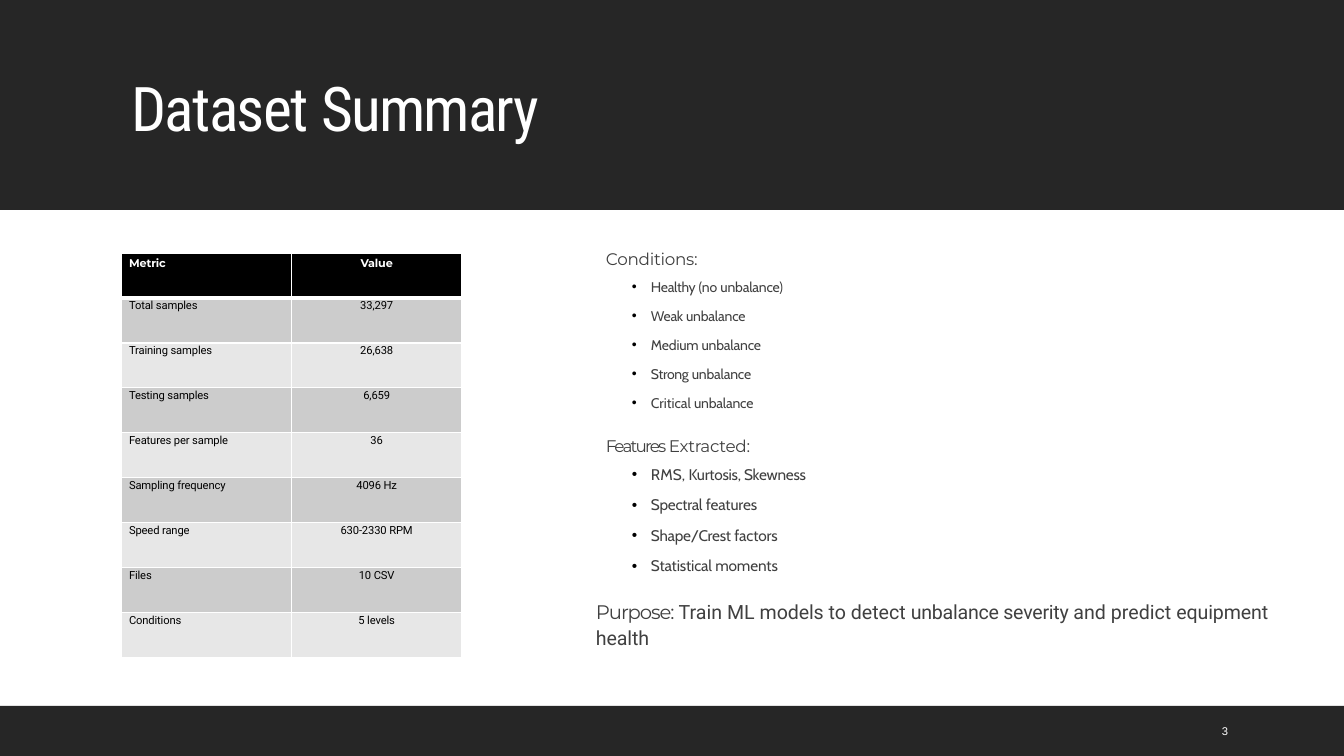
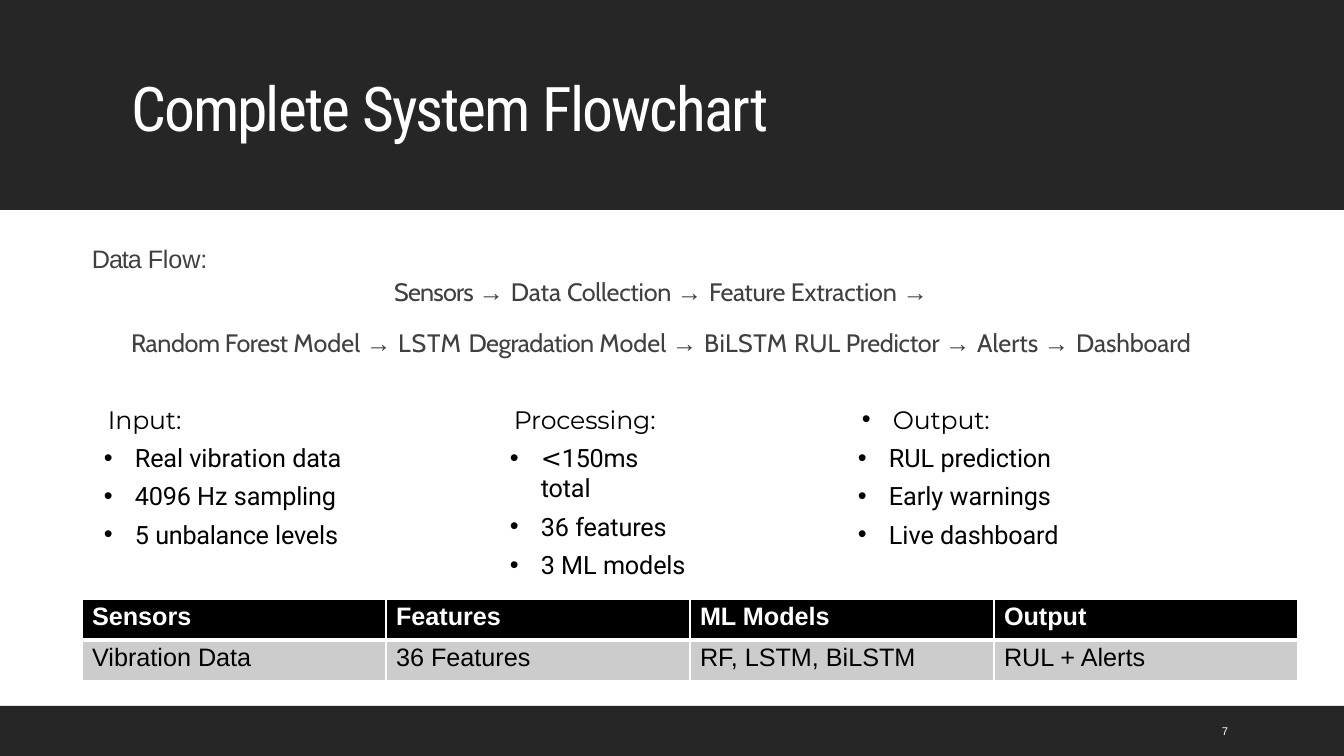
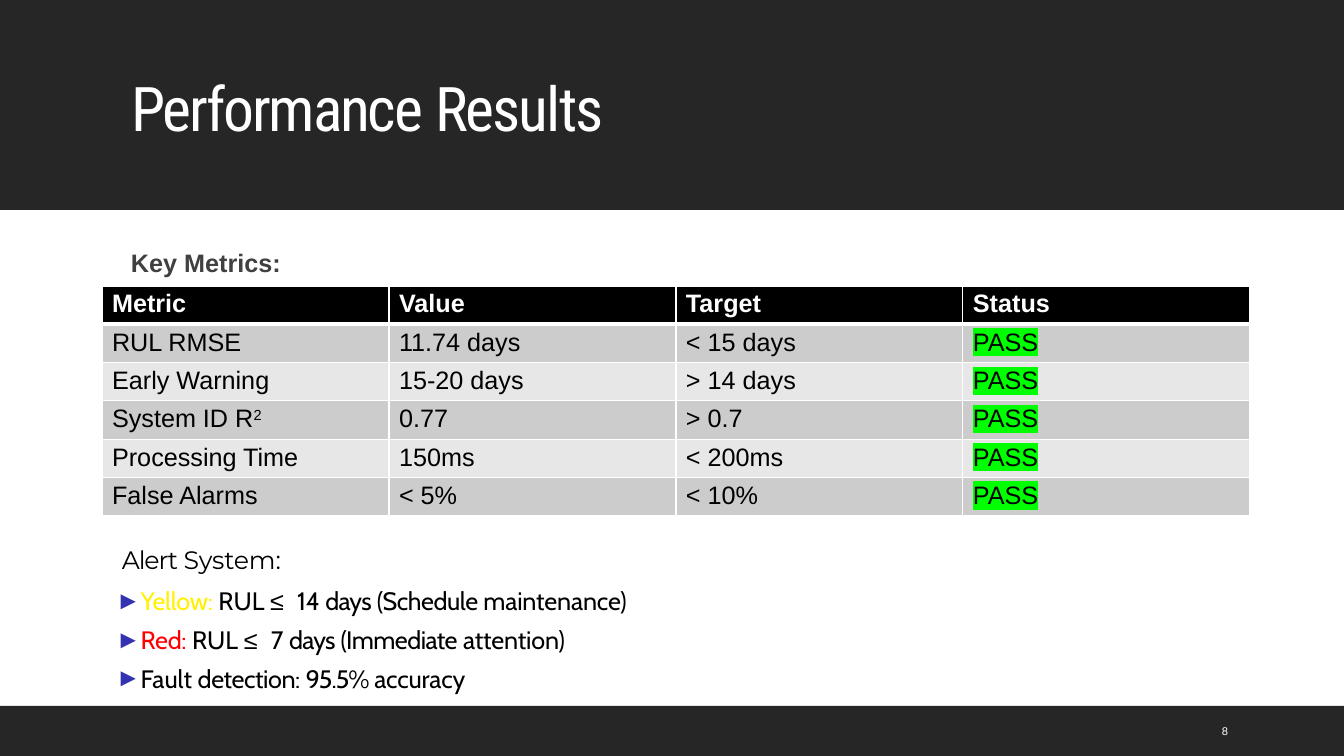
"""Builds three slides on unbalance detection: data set, system flow and results."""
import pptx
import pptx.util
import pptx.dml.color
import pptx.enum.shapes
import pptx.enum.text
import pptx.oxml.ns
import lxml.etree

WIDE, HIGH = 1344, 756
SCALE = 12192000 / WIDE
HUES = {"white": "FFFFFF", "ink": "000000", "band": "262626", "grey": "404040",
        "dark": "CCCCCC", "pale": "E7E7E7", "blue": "3333B2", "yellow": "FFF200",
        "red": "FF0000", "lime": "00FF00"}
ALIGN = pptx.enum.text.PP_ALIGN
ANCHOR = pptx.enum.text.MSO_ANCHOR
BANDS = [(0, 0, WIDE, 210), (0, 706, WIDE, 50)]

SIGN = {"font": "Arial", "italic": True}
ARROW = ("→ ", 0, SIGN)
LEAST = ("≤ ", 2.2, SIGN)

DATA = {
    "title": [("Dataset ", -1.2), ("Summary", -1.4)],
    "page": "3",
    "body": (596, 242, 703, 439),
    "table": [
        ("Metric", "Value"),
        ("Total samples", "33,297"),
        ("Training samples", "26,638"),
        ("Testing samples", "6,659"),
        ("Features per sample", "36"),
        ("Sampling frequency", "4096 Hz"),
        ("Speed range", "630-2330 RPM"),
        ("Files", "10 CSV"),
        ("Conditions", "5 levels"),
    ],
    "lists": [
        ([("Conditions:", -0.2)], 10, [
            [("Healthy ", -0.2), ("(no ", 0), ("unbalance)", -0.1)],
            [("Weak ", -0.2), ("unbalance", -0.1)],
            [("Medium unbalance", -0.1)],
            [("Strong ", -0.2), ("unbalance", -0.1)],
            [("Critical ", 0), ("unbalance", -0.1)],
        ]),
        ([("Features ", -1.3), ("Extracted:", -0.2)], 11, [
            [("RMS, ", 0), ("Kurtosis, Skewness", -0.2)],
            [("Spectral ", -0.2), ("features", -0.1)],
            [("Shape/Crest ", -0.2), ("factors", -0.1)],
            [("Statistical moments", -0.1)],
        ]),
    ],
    "goal": [("Purpose: ", -0.8, {"font": "Montserrat"}), ("Train ML ", 0), ("models ", -0.1),
             ("to detect ", 0), ("unbalance severity ", -0.2), ("and predict ", 0),
             ("equipment health", -0.1)],
}

FLOW = {
    "title": [("Complete ", -1.4), ("System ", -1.6), ("Flowchart", -1.4)],
    "page": "7",
    "body": (82, 232, 1148, 146),
    "head": [("Data ", -0.8), ("Flow:", -0.1)],
    "steps": [
        ([("Sensors ", -0.6), ARROW, ("Data ", 0), ("Collection ", -0.2), ARROW,
          ("Feature ", -0.3), ("Extraction ", -0.1), ("→", -0.5, SIGN)], 0.3, 1.0),
        ([("Random Forest ", -0.3), ("Model ", 0), ARROW, ("LSTM ", 0.6),
          ("Degradation ", -0.4), ("Model ", 0), ARROW, ("BiLSTM ", 0.4), ("RUL ", 0),
          ("Predictor ", -0.2), ARROW, ("Alerts ", 0), ARROW, ("Dashboard", -0.1)], 12, 1.03),
    ],
    "parts": [
        (90, 266, "Input:", {"left": 8}, [
            [("Real ", -0.1), ("vibration ", 0), ("data", -0.2)],
            [("4096 ", -0.1), ("Hz ", 0), ("sampling", -0.1)],
            [("5 ", 0), ("unbalance ", -0.2), ("levels", -0.1)],
        ]),
        (496, 207, "Processing:", {"left": 8}, [
            [("<", -0.2, {"font": "DejaVu Sans", "italic": True}), ("150ms ", -0.2),
             ("total", -0.1)],
            [("36 ", 0), ("features", -0.1)],
            [("3 ML ", 0), ("models", -0.1)],
        ]),
        (844, 229, "Output:", {"left": 39, "hang": -31, "bullet": "•"}, [
            [("RUL ", 0), ("prediction", -0.1)],
            [("Early ", 0), ("warnings", -0.1)],
            [("Live ", 0), ("dashboard", -0.1)],
        ]),
    ],
    "table": [
        ("Sensors", "Features", "ML Models", "Output"),
        ("Vibration Data", "36 Features", "RF, LSTM, BiLSTM", "RUL + Alerts"),
    ],
}

SCORE = {
    "title": [("Performance ", -1.6), ("Results", -1.4)],
    "page": "8",
    "body": (121, 236, 646, 411),
    "head": "Key Metrics:",
    "table": [
        ("Metric", "Value", "Target", "Status"),
        ("RUL RMSE", "11.74 days", "< 15 days", "PASS"),
        ("Early Warning", "15-20 days", "> 14 days", "PASS"),
        ([("System ID R", 0), ("2", 0, {"base": 30})], "0.77", "> 0.7", "PASS"),
        ("Processing Time", "150ms", "< 200ms", "PASS"),
        ("False Alarms", "< 5%", "< 10%", "PASS"),
    ],
    "alert": [("Alert ", -0.8), ("System:", -0.1)],
    "rules": [
        ([("Yellow: ", -0.2, {"color": "yellow"}), ("RUL ", 0), LEAST, ("14 ", -0.2),
          ("days ", -0.5), ("(Schedule ", -0.3), ("maintenance)", -0.1)], 8.1),
        ([("Red: ", -0.2, {"color": "red"}), ("RUL ", 0), LEAST, ("7 ", 0),
          ("days ", -0.5), ("(Immediate", -0.4), (" attention)", -0.1)], 6),
        ([("Fault ", 0), ("detection: ", -0.3), ("95.5% ", -0.7), ("accuracy", -0.1)], 6),
    ],
}


def px(num):
    return pptx.util.Emu(round(num * SCALE))


def rgb(name):
    return pptx.dml.color.RGBColor.from_string(HUES[name])


def node(root, tag, **attrs):
    item = lxml.etree.SubElement(root, pptx.oxml.ns.qn("a:" + tag))
    for key, val in attrs.items():
        item.set(key, str(val))
    return item


def place(shape, box):
    shape.left, shape.top, shape.width, shape.height = map(px, box)


def style(run, font="Arial", size=18, color="ink", bold=False, italic=False,
          track=0, base=0, mark=None):
    face = run.font
    face.size = pptx.util.Pt(size)
    face.bold, face.italic = bold, italic
    face.color.rgb = rgb(color)
    props = face._element
    if track:
        props.set("spc", str(round(track * 100)))
    if base:
        props.set("baseline", str(base * 1000))
    if mark:
        light = node(props, "highlight")
        node(light, "srgbClr", val=HUES[mark])
        props.find(pptx.oxml.ns.qn("a:solidFill")).addnext(light)
    face.name = font


def write(frame, text, left=0, hang=0, bullet=None, tint="ink", align=ALIGN.LEFT,
          level=0, before=0, after=0, line=None, **look):
    par = frame.paragraphs[0]
    first = not par.runs
    if not first:
        par = frame.add_paragraph()
    props = par._p.get_or_add_pPr()
    props.set("marL", str(px(left)))
    props.set("indent", str(px(hang)))
    if bullet:
        node(node(props, "buClr"), "srgbClr", val=HUES[tint])
        node(props, "buFont", typeface="Arial")
        node(props, "buChar", char=bullet)
    else:
        node(props, "buNone")
    par.level = level
    par.alignment = align
    par.space_before = pptx.util.Pt(0 if first else before)
    par.space_after = pptx.util.Pt(after)
    if line:
        par.line_spacing = line
    for part in [(text,)] if isinstance(text, str) else text:
        run = par.add_run()
        run.text = part[0]
        extra = {"track": part[1]} if len(part) > 1 else {}
        extra.update(part[2] if len(part) > 2 else {})
        style(run, **{**look, **extra})


def label(slide, box):
    shape = slide.shapes.add_textbox(*map(px, box))
    shape.text_frame.word_wrap = True
    return shape.text_frame


def start(deck, data):
    slide = deck.slides.add_slide(deck.slide_layouts[1])
    tree = slide.shapes._spTree
    for spot, box in enumerate(BANDS):
        band = slide.shapes.add_shape(pptx.enum.shapes.MSO_SHAPE.RECTANGLE, *map(px, box))
        band.shadow.inherit = False
        band.fill.solid()
        band.fill.fore_color.rgb = rgb("band")
        band.line.fill.background()
        tree.insert(2 + spot, band._element)
    title, body = slide.shapes.title, slide.placeholders[1]
    place(title, (121, 32, 1109, 160))
    place(body, data["body"])
    for shape in (title, body):
        shape.text_frame.word_wrap = True
        shape.text_frame.auto_size = pptx.enum.text.MSO_AUTO_SIZE.NONE
    title.text_frame.vertical_anchor = ANCHOR.MIDDLE
    write(title.text_frame, data["title"], line=0.9, font="Roboto Condensed", size=44,
          color="white")
    frame = body.text_frame
    frame.vertical_anchor = ANCHOR.TOP
    frame.margin_left = frame.margin_right = 0
    page = label(slide, (1212, 711, 86, 40))
    page.vertical_anchor = ANCHOR.MIDDLE
    write(page, data["page"], size=8, color="white")
    return slide, frame


def edge(cell, head):
    props = cell._tc.get_or_add_tcPr()
    for spot, side in enumerate("LRTB"):
        thick = 3 if head and side == "B" else 1
        line = node(props, "ln" + side, w=pptx.util.Pt(thick))
        node(node(line, "solidFill"), "srgbClr", val=HUES["white"])
        props.insert(spot, line)


def grid(slide, box, rows, small=False):
    shape = slide.shapes.add_table(len(rows), len(rows[0]), *map(px, box))
    for down, row in enumerate(rows):
        head = down == 0
        for over, text in enumerate(row):
            cell = shape.table.cell(down, over)
            cell.fill.solid()
            cell.fill.fore_color.rgb = rgb("ink" if head else "dark" if down % 2 else "pale")
            edge(cell, head)
            cell.margin_top = cell.margin_bottom = px(4)
            look = {"color": "white" if head else "ink", "bold": head}
            if small:
                cell.margin_left = cell.margin_right = cell.margin_bottom = 0
                cell.margin_top = px(4 if head else 3)
                look.update(size=8, track=-0.1, font="Montserrat" if head else "Roboto",
                            line=None if head else pptx.util.Pt(8.4),
                            left=0 if over else 8, align=ALIGN.CENTER if over else ALIGN.LEFT)
            if text == "PASS":
                look["mark"] = "lime"
            write(cell.text_frame, text, **look)


def data(deck):
    slide, body = start(deck, DATA)
    for head, size, items in DATA["lists"]:
        write(body, head, left=10, before=12, after=2, line=1.1, font="Montserrat", size=12,
              color="grey")
        for item in items:
            write(body, item, left=55, hang=-19, bullet="•", level=1, before=5.9, after=4,
                  line=0.9, font="Cabin", size=size, color="grey")
    write(body, DATA["goal"], before=12, after=2, line=1.1, font="Roboto", size=14,
          color="grey")
    grid(slide, (121, 253, 341, 405), DATA["table"], small=True)


def flow(deck):
    slide, body = start(deck, FLOW)
    write(body, FLOW["head"], left=10, after=2, line=1.2, color="grey")
    for step, before, line in FLOW["steps"]:
        write(body, step, left=10, align=ALIGN.CENTER, before=before, after=2, line=line,
              font="Cabin", color="grey")
    for left, wide, head, form, items in FLOW["parts"]:
        frame = label(slide, (left, 399, wide, 188))
        write(frame, head, font="Montserrat", track=-0.1, **form)
        for item in items:
            write(frame, item, left=35, hang=-31, bullet="•", before=5.8, font="Roboto")
    grid(slide, (82, 599, 1216, 82), FLOW["table"])


def score(deck):
    slide, body = start(deck, SCORE)
    write(body, SCORE["head"], left=10, after=2, line=1.2, color="grey", bold=True)
    grid(slide, (102, 286, 1148, 230), SCORE["table"])
    frame = label(slide, (102, 539, 569, 160))
    write(frame, SCORE["alert"], left=10, font="Montserrat")
    for rule, before in SCORE["rules"]:
        write(frame, rule, left=22, hang=-18, bullet="►", tint="blue", before=before,
              font="Cabin")


def main():
    deck = pptx.Presentation()
    deck.slide_width, deck.slide_height = px(WIDE), px(HIGH)
    for build in (data, flow, score):
        build(deck)
    deck.save("out.pptx")


if __name__ == "__main__":
    main()
